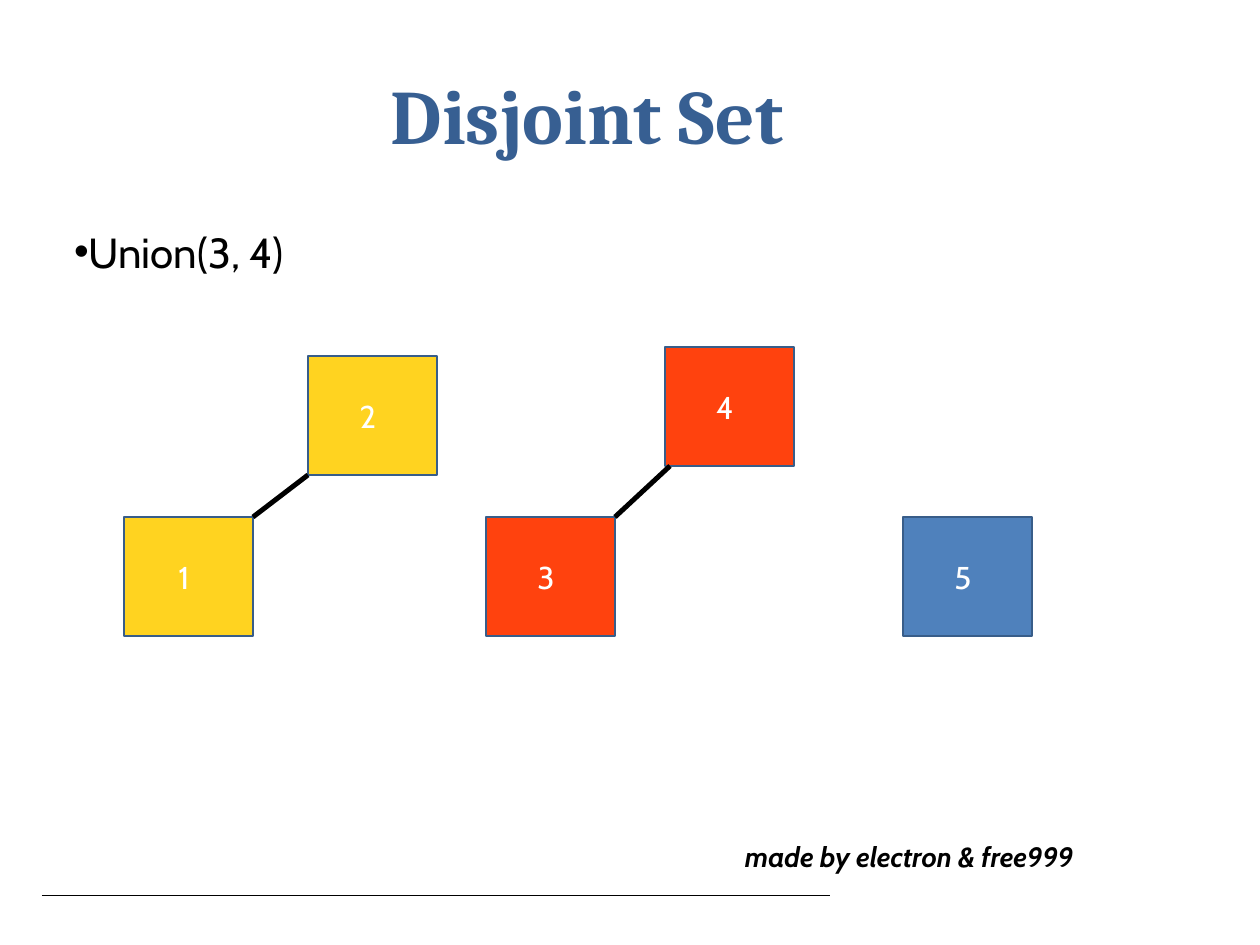
from lxml import etree
from pptx import Presentation
from pptx.dml.color import RGBColor
from pptx.enum.shapes import MSO_CONNECTOR, MSO_SHAPE
from pptx.enum.text import MSO_ANCHOR, MSO_AUTO_SIZE, PP_ALIGN
from pptx.oxml.ns import qn
from pptx.util import Emu, Pt

RECTANGLE = MSO_SHAPE.RECTANGLE
STRAIGHT = MSO_CONNECTOR.STRAIGHT
TOP, MIDDLE = MSO_ANCHOR.TOP, MSO_ANCHOR.MIDDLE
LEFT, CENTER = PP_ALIGN.LEFT, PP_ALIGN.CENTER
NO_FIT = MSO_AUTO_SIZE.NONE

PX_PER_INCH = 126
NODE_W, NODE_H = 129, 119
YELLOW, RED, BLUE = "FFD320", "FF420E", "4F81BC"
BLACK, WHITE, OUTLINE, TITLE_BLUE = "000000", "FFFFFF", "385D89", "375F92"

# label: (left, top, fill), within the diagram
NODES = {
    "1": (0, 170, YELLOW),
    "3": (362, 170, RED),
    "2": (184, 9, YELLOW),
    "4": (541, 0, RED),
    "5": (779, 170, BLUE),
}
# (lower node, upper node, distance of the end from the upper node's left side)
UNIONS = [("1", "2", 0), ("3", "4", 5)]


def px(length):
    return Emu(length * 914400 // PX_PER_INCH)


def color(value):
    return RGBColor.from_string(value)


def place(shape, box):
    shape.left, shape.top, shape.width, shape.height = map(px, box)


def write(shape, text, size, font_name, font_color, align=LEFT, anchor=TOP):
    """Fill a shape with one plain paragraph and return it."""
    frame = shape.text_frame
    frame.text = text
    frame.auto_size = NO_FIT
    frame.word_wrap = False
    frame.vertical_anchor = anchor
    frame.margin_left = frame.margin_right = 0
    frame.margin_top = frame.margin_bottom = 0
    para = frame.paragraphs[0]
    para.alignment = align
    para.space_before = Pt(0)
    font = para.runs[0].font
    font.size, font.name = Pt(size), font_name
    font.color.rgb = color(font_color)
    return para


def add_line(page, start, end, width):
    line = page.shapes.add_connector(STRAIGHT, *map(px, (*start, *end)))
    line.line.color.rgb = color(BLACK)
    line.line.width = Pt(width)
    etree.SubElement(line._element.spPr, qn("a:effectLst"))


def add_title(page, box):
    title = page.shapes.title
    place(title, box)
    para = write(title, "Disjoint Set", 44, "Cambria", TITLE_BLUE)
    para.runs[0].font.bold = True


def add_body(page, box):
    body = page.placeholders[1]
    place(body, box)
    para = write(body, "Union(3, 4)", 24, "Cabin", BLACK)
    properties = para._p.get_or_add_pPr()
    properties.set("marL", "0")
    properties.set("indent", "0")
    etree.SubElement(properties, qn("a:buChar")).set("char", "•")


def add_footer(page, box):
    left, top, width, height = box
    add_line(page, (left, top + height), (left + 788, top + height), 0.5)
    credit = page.shapes.add_textbox(*map(px, (left + 703, top, 397, 82)))
    para = write(credit, "made by electron & free999", 16, "Cabin", BLACK)
    para.line_spacing = Pt(5.7)
    para.runs[0].font.bold = para.runs[0].font.italic = True


def add_node(page, label, box, fill):
    node = page.shapes.add_shape(RECTANGLE, *map(px, box))
    node.shadow.inherit = False
    node.fill.solid()
    node.fill.fore_color.rgb = color(fill)
    node.line.color.rgb = color(OUTLINE)
    node.line.width = Pt(1.5)
    write(node, label, 18, "Cabin", WHITE, CENTER, MIDDLE)
    node.text_frame.margin_right = px(9)


def add_forest(page, box):
    """Draw the set members and a line from corner to corner for each union."""
    left, top = box[:2]
    for label, (x, y, fill) in NODES.items():
        add_node(page, label, (left + x, top + y, NODE_W, NODE_H), fill)
    for lower, upper, inset in UNIONS:
        lower_x, lower_y, _ = NODES[lower]
        upper_x, upper_y, _ = NODES[upper]
        add_line(page, (left + lower_x + NODE_W, top + lower_y),
                 (left + upper_x + inset, top + upper_y + NODE_H), 2.83)


def main():
    deck = Presentation()
    deck.slide_width, deck.slide_height = px(1260), px(945)
    page = deck.slides.add_slide(deck.slide_layouts[1])
    add_title(page, (391, 67, 479, 160))
    add_body(page, (74, 226, 343, 102))
    add_forest(page, (124, 347, 908, 289))
    add_footer(page, (42, 863, 1100, 32))
    deck.save("out.pptx")


if __name__ == "__main__":
    main()
